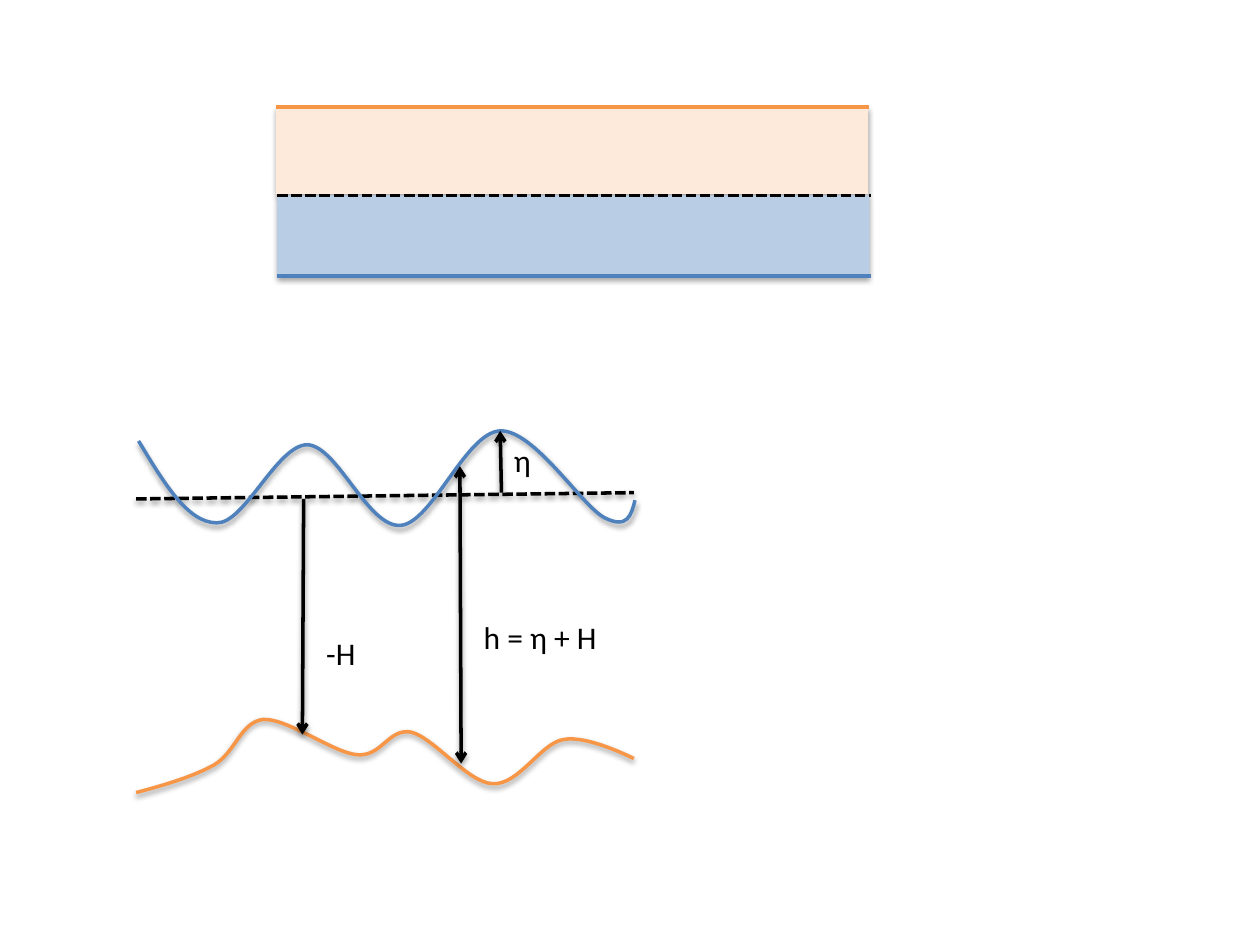
from lxml import etree
from pptx import Presentation
from pptx.dml.color import RGBColor
from pptx.enum.dml import MSO_LINE
from pptx.enum.shapes import MSO_CONNECTOR, MSO_SHAPE
from pptx.enum.text import MSO_AUTO_SIZE
from pptx.oxml.ns import qn
from pptx.util import Inches, Pt

RECT = MSO_SHAPE.RECTANGLE
STRAIGHT = MSO_CONNECTOR.STRAIGHT
DASH = MSO_LINE.SQUARE_DOT
FIT = MSO_AUTO_SIZE.SHAPE_TO_FIT_TEXT
BLACK, BLUE, ORANGE = "000000", "4F81BD", "F79646"

# Each curve: a start point, then two control points and an end per segment
BED = [
    (1.08, 6.29),
    (1.31, 6.23), (1.54, 6.16), (1.7, 6.07),
    (1.87, 5.97), (1.91, 5.73), (2.09, 5.71),
    (2.28, 5.7), (2.64, 5.97), (2.83, 5.99),
    (3.03, 6.01), (3.08, 5.78), (3.26, 5.81),
    (3.44, 5.85), (3.71, 6.21), (3.91, 6.22),
    (4.12, 6.23), (4.29, 5.9), (4.47, 5.87),
    (4.66, 5.83), (5.03, 6.02), (5.03, 6.02),
]
WAVE = [
    (1.1, 3.5),
    (1.3, 3.83), (1.49, 4.15), (1.72, 4.15),
    (1.94, 4.16), (2.2, 3.53), (2.44, 3.53),
    (2.68, 3.54), (2.92, 4.19), (3.18, 4.17),
    (3.43, 4.15), (3.7, 3.43), (3.97, 3.42),
    (4.24, 3.41), (4.62, 4.02), (4.8, 4.11),
    (4.98, 4.2), (5.01, 4.09), (5.04, 3.97),
]


def color(code):
    return RGBColor.from_string(code)


def add_shadow(shape, alpha=38, drop=1.6):
    """Set a soft shadow straight below; alpha 0 means no shadow."""
    effects = etree.SubElement(shape.element.spPr, qn("a:effectLst"))
    if alpha:
        outer = etree.SubElement(
            effects, qn("a:outerShdw"), blurRad=str(Pt(3.1)),
            dist=str(Pt(drop)), dir="5400000", rotWithShape="0")
        tint = etree.SubElement(outer, qn("a:srgbClr"), val=BLACK)
        etree.SubElement(tint, qn("a:alpha"), val=str(alpha * 1000))


def add_layer(slide, left, top, width, height, fill):
    layer = slide.shapes.add_shape(
        RECT, Inches(left), Inches(top), Inches(width), Inches(height))
    layer.fill.solid()
    layer.fill.fore_color.rgb = color(fill)
    layer.line.fill.background()
    add_shadow(layer, alpha=35, drop=1.8)


def add_line(slide, start, end, ink=BLACK, dash=None, tips=(), alpha=38):
    line = slide.shapes.add_connector(
        STRAIGHT, *[Inches(v) for v in (*start, *end)])
    line.line.color.rgb = color(ink)
    line.line.width = Pt(2)
    if dash:
        line.line.dash_style = dash
    for tip in tips:
        etree.SubElement(line.line._get_or_add_ln(), qn(tip), type="arrow")
    add_shadow(line, alpha)


def add_curve(slide, points, ink):
    spots = [(Inches(x), Inches(y)) for x, y in points]
    pen = slide.shapes.build_freeform(*spots[0])
    pen.add_line_segments(spots[1:], close=False)
    curve = pen.convert_to_shape()
    # Turn every three straight steps into one Bezier segment
    steps = list(curve.element.iter(qn("a:lnTo")))
    for i in range(0, len(steps), 3):
        bend = etree.Element(qn("a:cubicBezTo"))
        steps[i].addprevious(bend)
        for step in steps[i:i + 3]:
            bend.append(step[0])
            step.getparent().remove(step)
    curve.fill.background()
    curve.line.color.rgb = color(ink)
    curve.line.width = Pt(2)
    add_shadow(curve)


def add_text(slide, text, left, top, width, height=0.4, size=18,
             font="Calibri", ink=BLACK):
    box = slide.shapes.add_textbox(
        Inches(left), Inches(top), Inches(width), Inches(height))
    frame = box.text_frame
    frame.word_wrap = False
    frame.auto_size = FIT
    run = frame.paragraphs[0].add_run()
    run.text = text
    run.font.size = Pt(size)
    run.font.name = font
    run.font.color.rgb = color(ink)


def main():
    prs = Presentation()
    prs.slide_width, prs.slide_height = Inches(10), Inches(7.5)
    slide = prs.slides.add_slide(prs.slide_layouts[6])

    # Two flat layers
    add_layer(slide, 2.19, 0.85, 4.7, 0.69, "FDEADA")
    add_layer(slide, 2.2, 1.55, 4.7, 0.65, "B9CDE5")

    # Mean level, sea bed and surface wave
    add_line(slide, (1.08, 3.96), (5.03, 3.91), dash=DASH)
    add_curve(slide, BED, ORANGE)
    add_curve(slide, WAVE, BLUE)

    # Height arrows with their labels
    add_line(slide, (3.98, 3.91), (3.97, 3.42), tips=["a:tailEnd"])
    add_text(slide, "η", 3.98, 3.45, 0.34)
    add_line(slide, (2.41, 3.96), (2.4, 5.83), tips=["a:tailEnd"])
    add_text(slide, "-H", 2.49, 4.98, 0.44)
    add_line(slide, (3.65, 3.7), (3.66, 6.06),
             tips=["a:headEnd", "a:tailEnd"])
    add_text(slide, "h = η + H", 3.74, 4.86, 1.11)

    # Edges of the flat layers
    for left, y, ink, dash in [(2.19, 0.85, ORANGE, None),
                               (2.2, 2.19, BLUE, None),
                               (2.2, 1.55, BLACK, DASH)]:
        add_line(slide, (left, y), (left + 4.71, y), ink, dash, alpha=0)

    prs.save("out.pptx")


if __name__ == "__main__":
    main()
